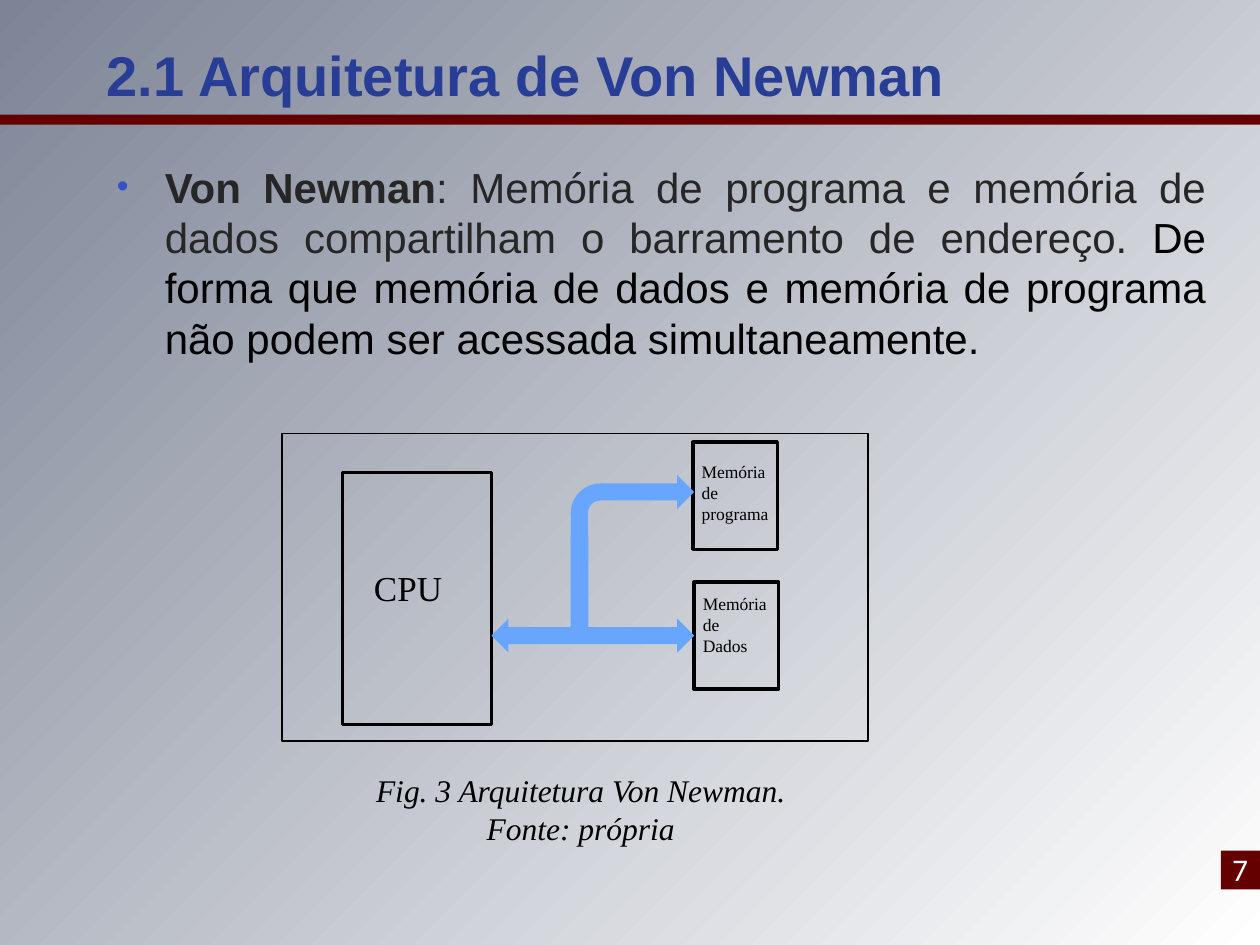
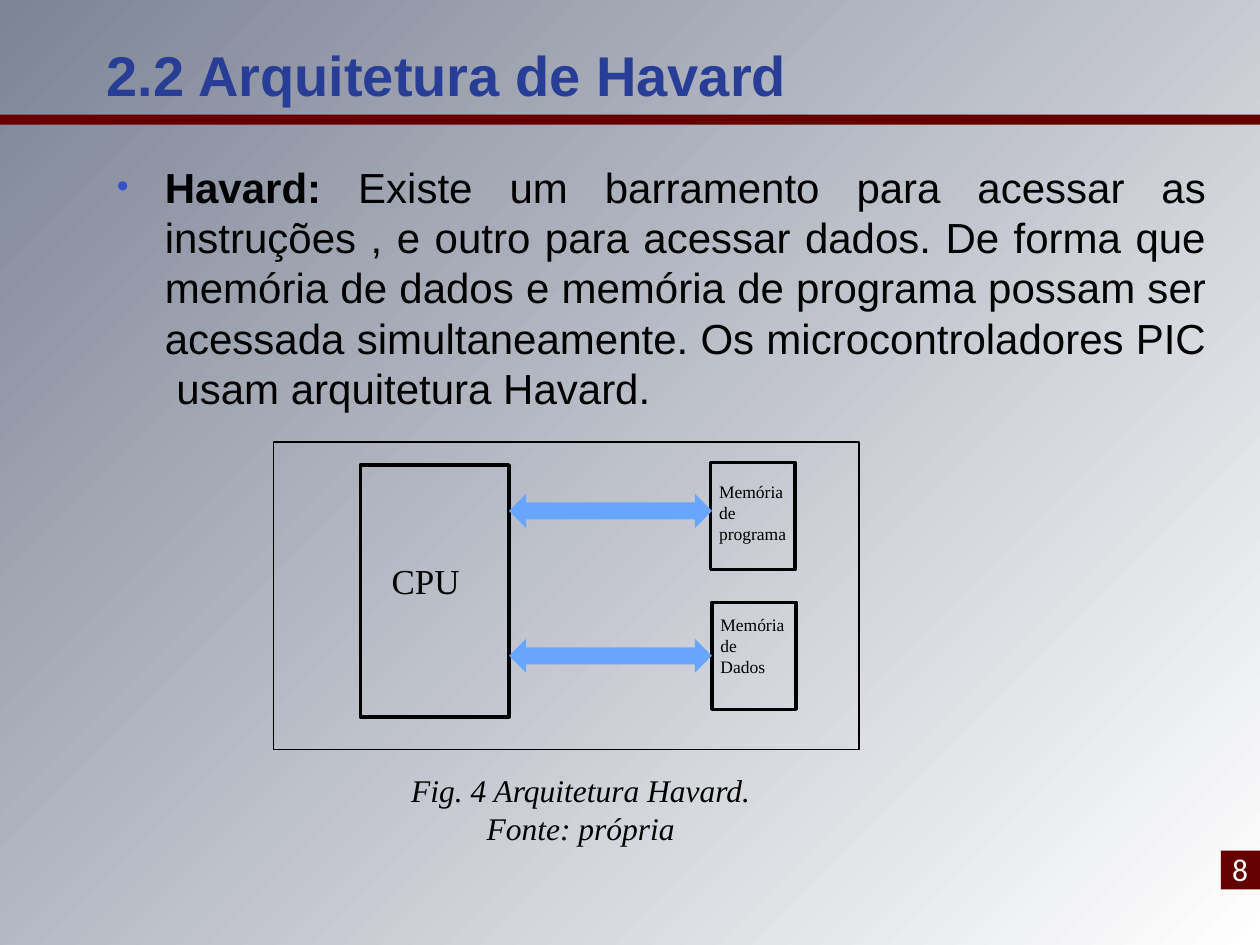
from dataclasses import dataclass

from pptx import Presentation, util as u
from pptx.dml.color import RGBColor
from pptx.enum import shapes, text
from pptx.oxml import parse_xml
from pptx.oxml.ns import nsdecls, qn

COLOURS = {
    "title": "283D95", "maroon": "640000", "bullet": "3551C7", "bus": "67A5FF",
    "dark": "262626", "black": "000000", "white": "FFFFFF", "haze": "7D8496",
}
COLUMNS, ROWS = 100, 75
CELL = u.Inches(10) // COLUMNS
LATIN, SERIF = "Arial", "Times New Roman"

TITLE = {"name": LATIN, "size": u.Pt(32), "bold": True, "colour": "title"}
BODY = {"name": LATIN, "size": u.Pt(24), "bold": False, "colour": "black"}
NUMBER = {"name": "Calibri", "size": u.Pt(18), "colour": "white"}
CAPTION = {"name": SERIF, "size": u.Pt(18), "italic": True, "colour": "black"}
MEMORY = {"name": SERIF, "size": u.Pt(10), "colour": "black"}
CPU = {"name": SERIF, "size": u.Pt(20), "colour": "black"}


@dataclass
class Box:
    """A region measured in grid columns and rows."""
    left: float
    top: float
    width: float
    height: float

    def inner(self, left, top, width, height):
        return Box(self.left + left, self.top + top, width, height)

    def lengths(self):
        return [round(cells * CELL)
                for cells in (self.left, self.top, self.width, self.height)]


PAGE = Box(0, 0, COLUMNS, ROWS)


def colour(name):
    return RGBColor.from_string(COLOURS[name])


def add_span(para, words, style):
    span = para.add_run()
    span.text = words
    for key, value in style.items():
        if key == "colour":
            span.font.color.rgb = colour(value)
        else:
            setattr(span.font, key, value)


def add_text(parent, box, paragraphs, align=None, grow=True, **frame_format):
    """Add a text box; each paragraph is a list of (words, style) pairs."""
    frame = parent.shapes.add_textbox(*box.lengths()).text_frame
    frame_format["word_wrap"] = True
    if grow:
        frame_format["auto_size"] = text.MSO_AUTO_SIZE.SHAPE_TO_FIT_TEXT
    for key, value in frame_format.items():
        setattr(frame, key, value)
    for index, spans in enumerate(paragraphs):
        para = frame.add_paragraph() if index else frame.paragraphs[0]
        para.alignment = align
        for words, style in spans:
            add_span(para, words, style)
    return frame


def add_lines(parent, box, lines, style, align=None):
    return add_text(parent, box, [[(line, style)] for line in lines], align)


def add_solid(parent, box, fill, kind=shapes.MSO_SHAPE.RECTANGLE):
    shape = parent.shapes.add_shape(kind, *box.lengths())
    shape.shadow.inherit = False
    shape.fill.solid()
    shape.fill.fore_color.rgb = colour(fill)
    shape.line.fill.background()


def add_outline(parent, box, points):
    shape = parent.shapes.add_shape(shapes.MSO_SHAPE.RECTANGLE, *box.lengths())
    shape.shadow.inherit = False
    shape.fill.background()
    shape.line.color.rgb = colour("black")
    shape.line.width = u.Pt(points)


def set_background(master):
    """Fade from a hazy top left corner to a white bottom right corner."""
    master.background.fill.gradient()
    plain = master.element.find(".//" + qn("a:gradFill"))
    plain.getparent().replace(plain, parse_xml(
        f'<a:gradFill {nsdecls("a")} rotWithShape="1"><a:gsLst>'
        f'<a:gs pos="0"><a:srgbClr val="{COLOURS["white"]}"/></a:gs>'
        f'<a:gs pos="100000"><a:srgbClr val="{COLOURS["haze"]}">'
        '<a:alpha val="41000"/></a:srgbClr></a:gs></a:gsLst>'
        '<a:path path="circle"><a:fillToRect l="100000" t="100000"/></a:path>'
        '</a:gradFill>'))


def add_bullet(para):
    properties = para._p.get_or_add_pPr()
    indent = u.Inches(0.38)
    properties.set("marL", str(indent))
    properties.set("indent", str(-indent))
    for child in (f'buClr {nsdecls("a")}><a:srgbClr val="{COLOURS["bullet"]}"/></a:buClr',
                  f'buSzPct {nsdecls("a")} val="80000"/',
                  f'buFont {nsdecls("a")} typeface="{LATIN}"/',
                  f'buChar {nsdecls("a")} char="•"/'):
        properties.append(parse_xml(f"<a:{child}>"))


def add_header(page, box, title):
    add_text(page, box.inner(7.5, 2.8, 85, 6.2), [[(title, TITLE)]], grow=False,
             vertical_anchor=text.MSO_ANCHOR.MIDDLE)
    add_solid(page, box.inner(0, 9.1, box.width, 0.8), "maroon")


def add_body(page, box, spans):
    frame = add_text(page, box, [spans], text.PP_ALIGN.JUSTIFY, grow=False)
    para = frame.paragraphs[0]
    para.space_before = u.Pt(4.8)
    add_bullet(para)


def add_page_number(page, box, number):
    add_solid(page, box.inner(0.1, 0.5, 3.1, 3.1), "maroon")
    add_lines(page, box, [str(number)], NUMBER)


def add_cpu(group, box):
    add_outline(group, box, 2)
    add_lines(group, box.inner(1.5, 7, 8.7, 4.4), ["CPU"], CPU)


def add_memory(group, box, kind, label_top):
    add_outline(group, box, 2)
    add_lines(group, box.inner(-0.3, label_top, 8.7, 6.1),
              ["Memória", "de", kind], MEMORY)


def add_bus(group, box):
    add_solid(group, box, "bus", shapes.MSO_SHAPE.LEFT_RIGHT_ARROW)


def add_diagram(page, frame, cpu_at, memory_at, shared_bus):
    """Draw CPU, memories and buses at offsets within the frame."""
    group = page.shapes.add_group_shape()
    add_outline(group, frame, 1)
    add_cpu(group, frame.inner(*cpu_at, 11.8, 20))
    program = frame.inner(*memory_at, 6.7, 8.5)
    add_memory(group, program, "programa", 1)
    add_memory(group, program.inner(0.1, 11.1, 6.7, 8.5), "Dados", 0.4)
    add_bus(group, program.inner(-16, 14, 16.1, 2.7))
    if shared_bus:
        add_solid(group, program.inner(-9.7, 7.4, 1.4, 8.3), "bus")
        add_solid(group, program.inner(-9.7, 2.6, 9.8, 5.4), "bus",
                  shapes.MSO_SHAPE.BENT_ARROW)
    else:
        add_bus(group, program.inner(-16, 2.5, 16.1, 2.7))


def add_architecture(deck, number, title, spans, diagram, caption):
    page = deck.slides.add_slide(deck.slide_layouts[6])
    add_header(page, PAGE, title)
    add_body(page, PAGE.inner(8.3, 12.3, 88.4, 54.7), spans)
    add_diagram(page, **diagram)
    add_lines(page, PAGE.inner(21.3, 60.7, 49.6, 7.1),
              [caption, "Fonte: própria"], CAPTION, text.PP_ALIGN.CENTER)
    add_page_number(page, PAGE.inner(96.8, 67, 3.2, 4), number)


def main():
    deck = Presentation()
    deck.slide_width, deck.slide_height = COLUMNS * CELL, ROWS * CELL
    set_background(deck.slide_master)
    strong = BODY | {"bold": True}
    dark = {"colour": "dark"}
    add_architecture(
        deck, 7, "2.1 Arquitetura de Von Newman",
        [("Von Newman", strong | dark),
         (": Memória de programa e memória de dados compartilham o barramento "
          "de endereço.", BODY | dark),
         (" De forma que memória de dados e memória de programa não podem ser "
          "acessada simultaneamente.", BODY)],
        {"frame": PAGE.inner(22.4, 34.4, 46.5, 24.4), "cpu_at": (4.8, 3.1),
         "memory_at": (32.6, 0.7), "shared_bus": True},
        "Fig. 3 Arquitetura Von Newman.")
    add_architecture(
        deck, 8, "2.2 Arquitetura de Havard",
        [("Havard: ", strong),
         ("Existe um barramento para acessar as instruções , e outro para "
          "acessar dados. De forma que memória de dados e memória de programa "
          "possam ser acessada simultaneamente. Os microcontroladores PIC "
          " usam arquitetura Havard.", BODY)],
        {"frame": PAGE.inner(21.7, 35.1, 46.5, 24.4), "cpu_at": (6.9, 1.8),
         "memory_at": (34.7, 1.6), "shared_bus": False},
        "Fig. 4 Arquitetura Havard.")
    deck.save("out.pptx")


if __name__ == "__main__":
    main()
